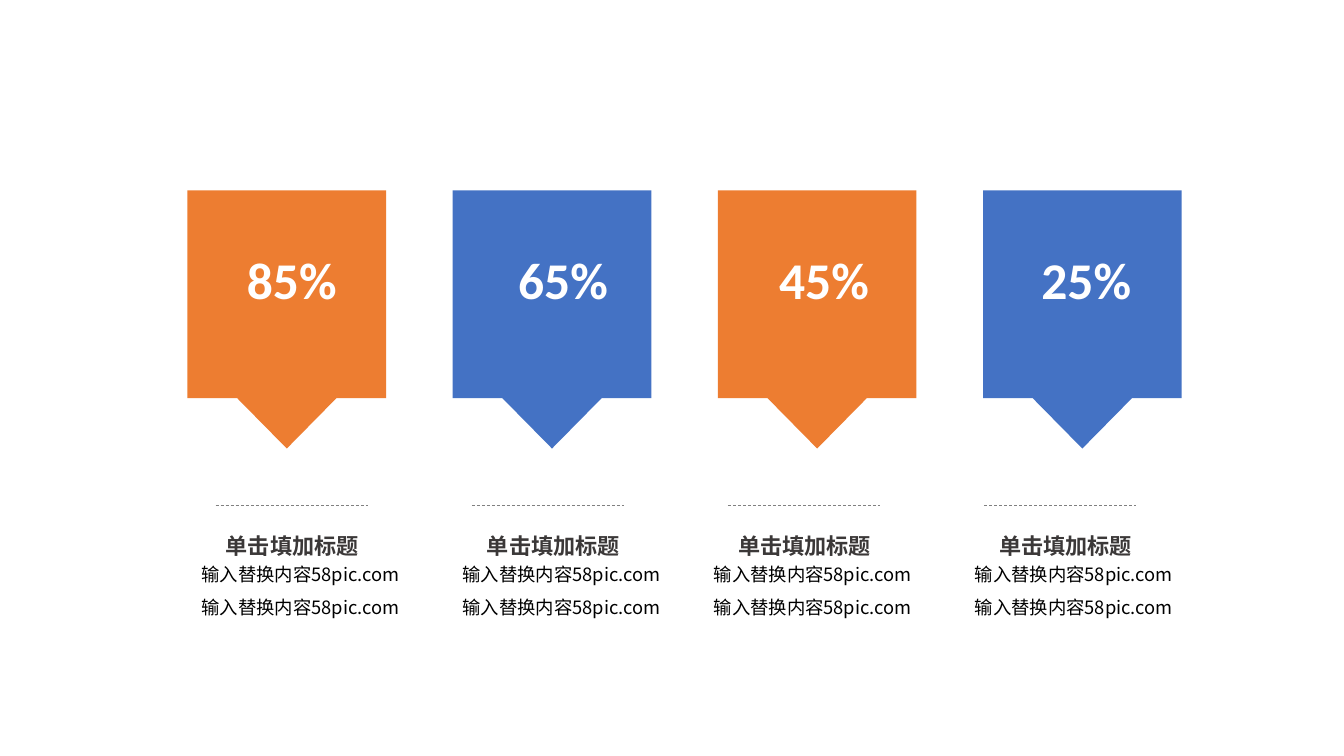
from dataclasses import dataclass

from lxml import etree
from pptx import Presentation
from pptx.dml.color import RGBColor
from pptx.enum import dml, text
from pptx.oxml.ns import qn
from pptx.enum.shapes import MSO_CONNECTOR
from pptx.slide import Slide
from pptx.util import Inches, Pt


@dataclass(frozen=True)
class Theme:
    orange: str = "ED7D31"
    blue: str = "4472C4"
    white: str = "FFFFFF"
    black: str = "000000"
    heading: str = "3B3838"
    rule: str = "808080"
    latin_font: str = "Calibri"
    chinese_font: str = "Noto Sans CJK SC"
    percent_size: float = 36.8
    heading_size: float = 15.8
    body_size: float = 13.1


@dataclass(frozen=True)
class Column:
    percent: str
    colour: str
    percent_left: float
    body_left: float


THEME = Theme()
COLUMNS = [
    Column("85%", THEME.orange, 2.35, 1.57),
    Column("65%", THEME.blue, 5.04, 4.16),
    Column("45%", THEME.orange, 7.63, 6.65),
    Column("25%", THEME.blue, 10.23, 9.24),
]
HEADING = "单击填加标题"
BODY = ["输入替换内容58pic.com"] * 2

BANNER_LEFT, BANNER_PITCH, BANNER_WIDTH = 1.86, 2.63, 1.97
BANNER_TOP, BANNER_SHOULDER, BANNER_TIP = 1.89, 3.95, 4.45
RULE_LEFT, RULE_PITCH, RULE_LENGTH, RULE_Y = 2.14, 2.54, 1.51, 5.01
HEADING_INDENT = 0.43


def add_banner(slide: Slide, left: float, colour: str) -> None:
    """Draw a square whose lower edge carries a centred pointer."""
    outline = [
        (0, BANNER_TOP), (1, BANNER_TOP), (1, BANNER_SHOULDER),
        (0.75, BANNER_SHOULDER), (0.5, BANNER_TIP),
        (0.25, BANNER_SHOULDER), (0, BANNER_SHOULDER),
    ]
    points = [(Inches(left + part * BANNER_WIDTH), Inches(y)) for part, y in outline]
    builder = slide.shapes.build_freeform(*points[0])
    builder.add_line_segments(points[1:], close=True)
    banner = builder.convert_to_shape()
    banner.shadow.inherit = False
    banner.fill.solid()
    banner.fill.fore_color.rgb = RGBColor.from_string(colour)
    banner.line.fill.background()


def add_rule(slide: Slide, left: float) -> None:
    rule = slide.shapes.add_connector(
        MSO_CONNECTOR.STRAIGHT, Inches(left), Inches(RULE_Y),
        Inches(left + RULE_LENGTH), Inches(RULE_Y))
    rule.line.color.rgb = RGBColor.from_string(THEME.rule)
    rule.line.width = Pt(0.5)
    rule.line.dash_style = dml.MSO_LINE.DASH
    etree.SubElement(rule._element.spPr, qn("a:effectLst"))


def add_text(slide: Slide, lines: list[str], left: float, top: float,
             width: float, height: float, *, size: float, colour: str,
             font: str = THEME.chinese_font, bold: bool = False,
             wrap: bool = True, inset: bool = True, centred: bool = True,
             gap: float = 0, line_spacing: float = 1) -> None:
    box = slide.shapes.add_textbox(
        Inches(left), Inches(top), Inches(width), Inches(height))
    frame = box.text_frame
    frame.word_wrap = wrap
    frame.auto_size = text.MSO_AUTO_SIZE.SHAPE_TO_FIT_TEXT
    if not inset:
        frame.margin_left = frame.margin_right = 0
        frame.margin_top = frame.margin_bottom = 0
    for index, line in enumerate(lines):
        paragraph = frame.add_paragraph() if index else frame.paragraphs[0]
        paragraph.alignment = text.PP_ALIGN.CENTER if centred else text.PP_ALIGN.LEFT
        paragraph.line_spacing = line_spacing
        if index:
            paragraph.space_before = Pt(gap)
        run = paragraph.add_run()
        run.text = line
        run.font.name = font
        run.font.size = Pt(size)
        run.font.bold = bold
        run.font.color.rgb = RGBColor.from_string(colour)
        east_asian = etree.SubElement(run.font._element, qn("a:ea"))
        east_asian.set("typeface", font)


def add_column(slide: Slide, index: int, column: Column) -> None:
    add_banner(slide, BANNER_LEFT + index * BANNER_PITCH, column.colour)
    add_text(slide, [column.percent], column.percent_left, 2.41, 1.1, 0.72,
             size=THEME.percent_size, colour=THEME.white,
             font=THEME.latin_font, bold=True, wrap=False, centred=False)
    add_rule(slide, RULE_LEFT + index * RULE_PITCH)
    add_text(slide, BODY, column.body_left, 5.54, 2.82, 0.66,
             size=THEME.body_size, colour=THEME.black, gap=7.9)
    add_text(slide, [HEADING], column.body_left + HEADING_INDENT, 5.23, 1.8, 0.32,
             size=THEME.heading_size, colour=THEME.heading, bold=True,
             inset=False, line_spacing=1.2)


def main() -> None:
    deck = Presentation()
    deck.slide_width, deck.slide_height = Inches(13.33), Inches(7.5)
    slide = deck.slides.add_slide(deck.slide_layouts[6])
    for index, column in enumerate(COLUMNS):
        add_column(slide, index, column)
    deck.save("out.pptx")


if __name__ == "__main__":
    main()
